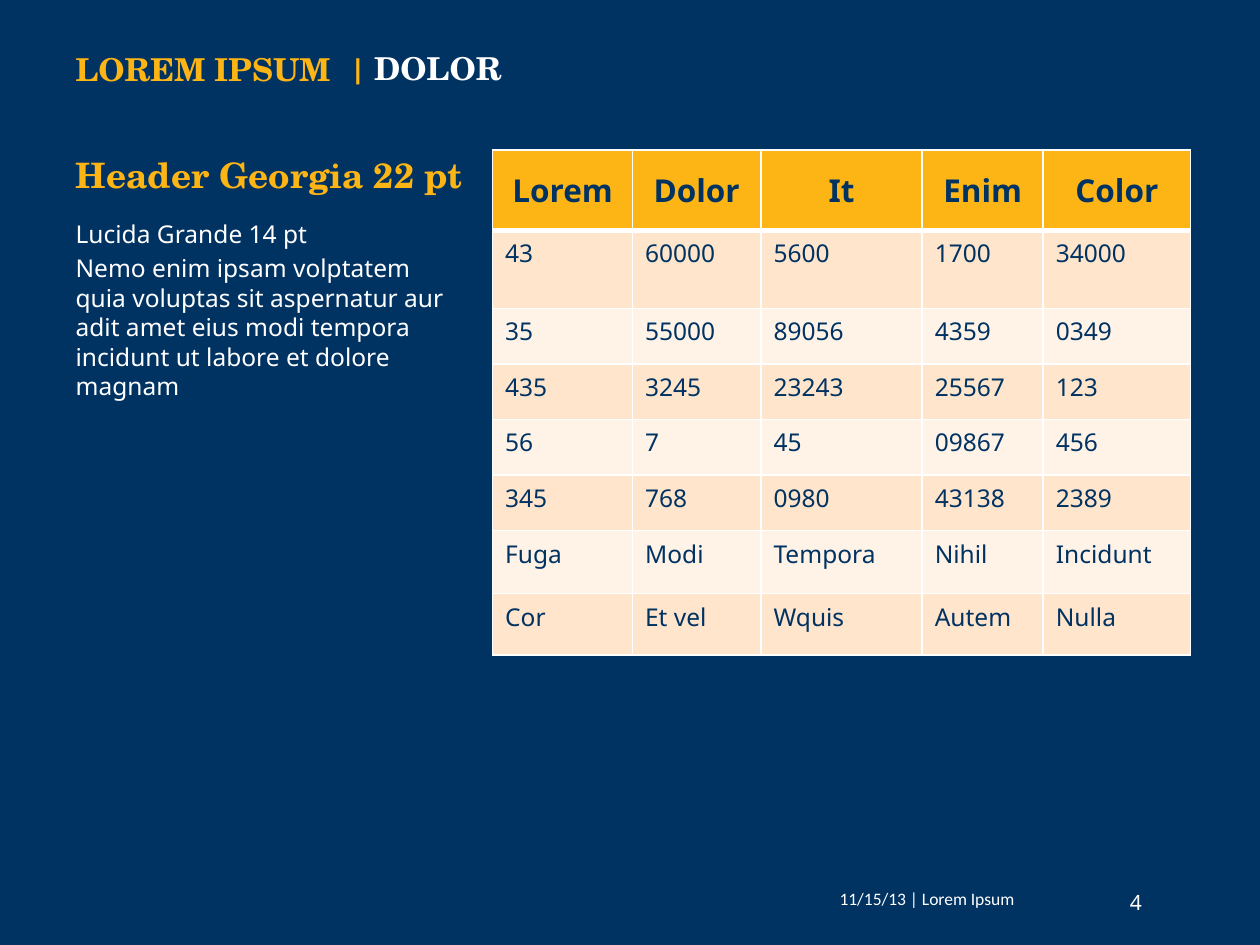
from lxml.etree import SubElement
from pptx import Presentation
from pptx.dml.color import RGBColor
from pptx.enum.text import MSO_ANCHOR, MSO_AUTO_SIZE, PP_ALIGN
from pptx.oxml.ns import qn
from pptx.util import Cm, Pt

COLORS = {"navy": "003262", "gold": "FDB515", "white": "FFFFFF",
          "peach": "FEE5CC", "cream": "FFF3E8"}
SERIF, SANS, FOOTER_FONT = "TeX Gyre Schola", "Noto Sans", "Calibri"

HEADER = "Header Georgia 22 pt"
SECTION = "LOREM IPSUM  |"
TOPIC = "DOLOR"
BODY = [
    "Lucida Grande 14 pt",
    "Nemo enim ipsam volptatem quia voluptas sit aspernatur aur adit amet "
    "eius modi tempora incidunt ut labore et dolore magnam",
]
FOOTER = "11/15/13 | Lorem Ipsum"
PAGE = "4"
ROWS = [
    ["Lorem", "Dolor", "It", "Enim", "Color"],
    ["43", "60000", "5600", "1700", "34000"],
    ["35", "55000", "89056", "4359", "0349"],
    ["435", "3245", "23243", "25567", "123"],
    ["56", "7", "45", "09867", "456"],
    ["345", "768", "0980", "43138", "2389"],
    ["Fuga", "Modi", "Tempora", "Nihil", "Incidunt"],
    ["Cor", "Et vel", "Wquis", "Autem", "Nulla"],
]
COLUMN_WIDTHS = [2.82, 2.59, 3.25, 2.44, 2.97]
ROW_HEIGHTS = [1.52, 1.57, 1.12, 1.12, 1.12, 1.12, 1.27, 1.24]


def rgb(name):
    return RGBColor.from_string(COLORS[name])


def write(frame, *lines, size, font=SANS, color="white", bold=False,
          align=PP_ALIGN.LEFT, before=0.0):
    """Fill a text frame with unbulleted paragraphs; before is a share of size."""
    for i, line in enumerate(lines):
        paragraph = frame.add_paragraph() if i else frame.paragraphs[0]
        paragraph.alignment = align
        paragraph.space_before = Pt(size * before)
        properties = paragraph._p.get_or_add_pPr()
        properties.set("marL", "0")
        properties.set("indent", "0")
        SubElement(properties, qn("a:buNone"))
        run = paragraph.add_run()
        run.text = line
        run.font.size, run.font.name, run.font.bold = Pt(size), font, bold
        run.font.color.rgb = rgb(color)


def place(shape, left, top, width, height, anchor=MSO_ANCHOR.TOP):
    shape.left, shape.top = Cm(left), Cm(top)
    shape.width, shape.height = Cm(width), Cm(height)
    frame = shape.text_frame
    frame.word_wrap = True
    frame.auto_size = MSO_AUTO_SIZE.NONE
    frame.vertical_anchor = anchor
    return frame


def add_borders(cell, **widths):
    """Draw white cell edges; must run before the fill is set."""
    properties = cell._tc.get_or_add_tcPr()
    for side in "LRTB":
        line = SubElement(properties, qn(f"a:ln{side}"),
                          w=str(Pt(widths.get(side, 1))))
        fill = SubElement(line, qn("a:solidFill"))
        SubElement(fill, qn("a:srgbClr"), val=COLORS["white"])


def add_data_table(slide):
    table = slide.shapes.add_table(
        len(ROWS), len(COLUMN_WIDTHS), Cm(9.93), Cm(3.02),
        Cm(sum(COLUMN_WIDTHS)), Cm(sum(ROW_HEIGHTS))).table
    for column, width in zip(table.columns, COLUMN_WIDTHS):
        column.width = Cm(width)
    for r, (values, height) in enumerate(zip(ROWS, ROW_HEIGHTS)):
        table.rows[r].height = Cm(height)
        for c, value in enumerate(values):
            cell = table.cell(r, c)
            if r == 0:
                cell.margin_left = cell.margin_right = Cm(0.38)
                cell.margin_top = cell.margin_bottom = Cm(0.38)
                write(cell.text_frame, value, size=18, color="navy",
                      bold=True, align=PP_ALIGN.CENTER)
                add_borders(cell, B=3)
                band = "gold"
            else:
                write(cell.text_frame, value, size=14, color="navy")
                add_borders(cell, T=3 if r == 1 else 1)
                band = "peach" if r % 2 else "cream"
            cell.fill.solid()
            cell.fill.fore_color.rgb = rgb(band)


def main():
    deck = Presentation()
    deck.slide_width, deck.slide_height = Cm(25.4), Cm(19.05)
    slide = deck.slides.add_slide(deck.slide_layouts.get_by_name("Comparison"))
    slide.background.fill.solid()
    slide.background.fill.fore_color.rgb = rgb("navy")
    header, section, body, topic, spare = slide.placeholders
    spare.element.getparent().remove(spare.element)

    write(place(header, 1.27, 2.95, 8.36, 1.12, MSO_ANCHOR.BOTTOM), HEADER,
          size=20, font=SERIF, color="gold", bold=True)
    write(place(body, 1.27, 4.29, 8.36, 10.52), *BODY, size=14, before=0.2)
    write(place(section, 1.27, 0.89, 9.58, 1.35), SECTION,
          size=18, font=SERIF, color="gold", bold=True, before=0.2)
    write(place(topic, 7.29, 0.86, 6.22, 1.37), TOPIC,
          size=18, font=SERIF, bold=True, before=0.2)
    add_data_table(slide)

    footer, page = (slide.shapes.add_textbox(0, 0, 0, 0) for _ in range(2))
    write(place(footer, 15.42, 17.6, 6.53, 1.04, MSO_ANCHOR.MIDDLE), FOOTER,
          size=10, font=FOOTER_FONT, align=PP_ALIGN.CENTER)
    write(place(page, 22.53, 17.81, 2.87, 0.76), PAGE, size=12)
    deck.save("out.pptx")


if __name__ == "__main__":
    main()
